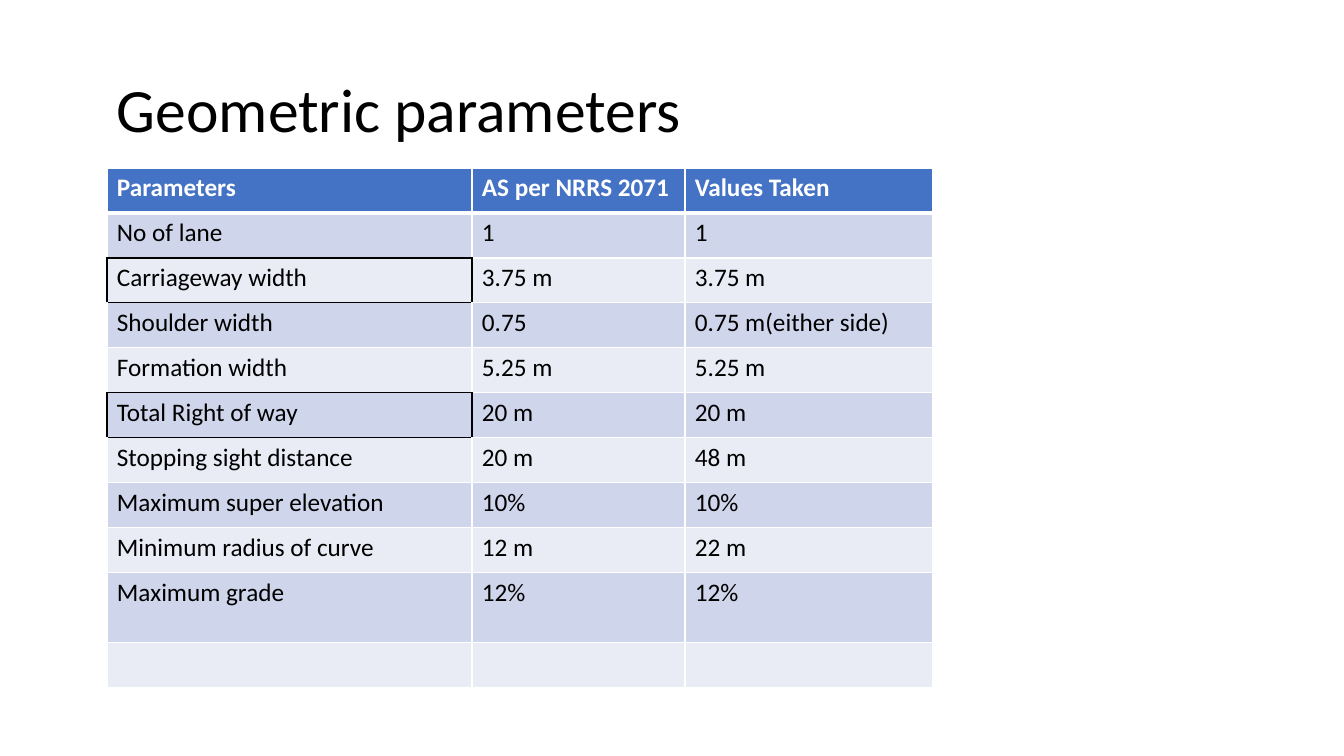
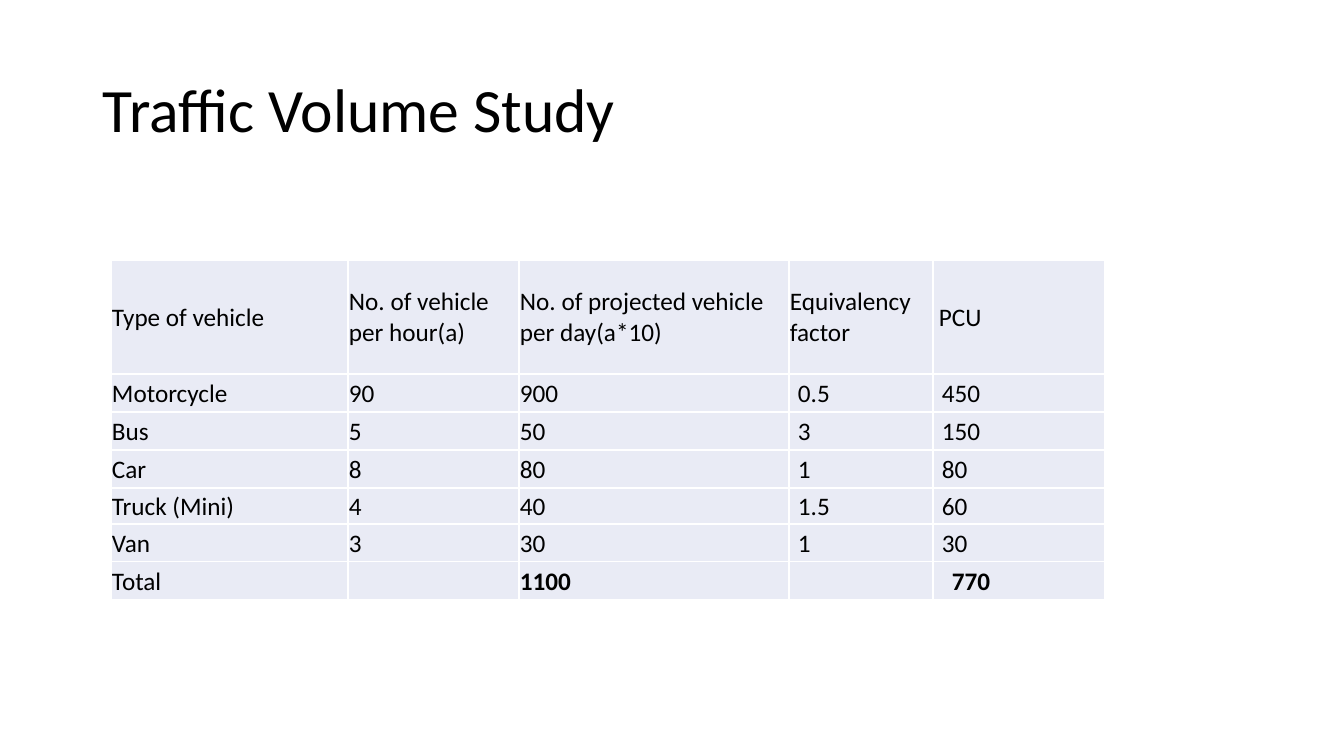
from lxml import etree
from pptx import Presentation
from pptx import util as u
from pptx.dml.color import RGBColor
from pptx.enum import text
from pptx.oxml.ns import qn

EMU_PER_PX = 914400 / 100.8
COLORS = {"ink": "000000", "paper": "FFFFFF", "header": "4472C4",
          "band": "CFD5EA", "light": "E9EBF5"}
# Neighbour offset (row, column) across each cell edge
EDGES = {"lnL": (0, -1), "lnR": (0, 1), "lnT": (-1, 0), "lnB": (1, 0)}


def px(length):
    return u.Emu(round(length * EMU_PER_PX))


def set_all(target, values):
    for name, value in values.items():
        setattr(target, name, value)


class Deck:
    """Holds the shared style and the current slide."""

    font = "Calibri"
    title_size, table_size = 44, 18
    title_box = {"left": 93, "top": 40, "width": 1159, "height": 146}

    def __init__(self):
        self.prs = Presentation()
        set_all(self.prs, {"slide_width": px(1344), "slide_height": px(756)})
        self.slide = None

    def add_slide(self, heading, inset=10):
        self.slide = self.prs.slides.add_slide(self.prs.slide_layouts[5])
        title = self.slide.shapes.title
        set_all(title, {side: px(v) for side, v in self.title_box.items()})
        set_all(title.text_frame, {
            "word_wrap": True, "auto_size": text.MSO_AUTO_SIZE.NONE,
            "vertical_anchor": text.MSO_ANCHOR.MIDDLE, "margin_left": px(inset)})
        paragraph = title.text_frame.paragraphs[0]
        set_all(paragraph, {"alignment": text.PP_ALIGN.LEFT, "line_spacing": 0.9})
        self.add_words(paragraph, heading, self.title_size)

    def add_words(self, paragraph, words, size, color="ink", bold=False):
        run = paragraph.add_run()
        run.text = words
        set_all(run.font, {"name": self.font, "size": u.Pt(size), "bold": bold})
        run.font.color.rgb = RGBColor.from_string(COLORS[color])

    def add_edge(self, cell, side, color, width):
        line = etree.SubElement(cell._tc.get_or_add_tcPr(), qn(f"a:{side}"),
                                w=str(u.Pt(width)))
        fill = etree.SubElement(line, qn("a:solidFill"))
        etree.SubElement(fill, qn("a:srgbClr"), val=COLORS[color])

    def add_table(self, left, top, widths, heights, rows, style, outlined=()):
        """style(row, column) gives fill, color, bold, anchor and margins."""
        table = self.slide.shapes.add_table(
            len(rows), len(widths), px(left), px(top),
            px(sum(widths)), px(sum(heights))).table
        set_all(table, {"first_row": False, "horz_banding": False})
        for column, width in zip(table.columns, widths):
            column.width = px(width)
        for r, (row, height) in enumerate(zip(rows, heights)):
            table.rows[r].height = px(height)
            for c, words in enumerate(row):
                cell, look = table.cell(r, c), style(r, c)
                for side, (down, across) in EDGES.items():
                    boxed = {(r, c), (r + down, c + across)} & set(outlined)
                    under_header = look["fill"] == "header" and side == "lnB"
                    self.add_edge(cell, side, "ink" if boxed else "paper",
                                  3 if under_header else 1)
                cell.fill.solid()
                cell.fill.fore_color.rgb = RGBColor.from_string(COLORS[look["fill"]])
                cell.vertical_anchor = look["anchor"]
                sides = ("margin_left", "margin_top", "margin_right", "margin_bottom")
                set_all(cell, dict(zip(sides, map(px, look["margins"]))))
                if words:
                    self.add_words(cell.text_frame.paragraphs[0], words,
                                   self.table_size, look["color"], look["bold"])


def parameter_style(row, column):
    header = row == 0
    return {"fill": "header" if header else "band" if row % 2 else "light",
            "color": "paper" if header else "ink", "bold": header,
            "anchor": text.MSO_ANCHOR.TOP, "margins": (10, 5, 10, 5)}


def traffic_style(row, column):
    total = row == len(TRAFFIC) - 1
    indent = 1
    if column == 4 and (row == 0 or total):
        indent = 19 if total else 6
    elif column >= 3 and row > 0:
        indent = 9
    return {"fill": "light", "color": "ink", "bold": total and column > 0,
            "anchor": text.MSO_ANCHOR.MIDDLE, "margins": (indent, 1, 1, 0)}


PARAMETERS = [
    ("Parameters", "AS per NRRS 2071", "Values Taken"),
    ("No of lane", "1", "1"),
    ("Carriageway width", "3.75 m", "3.75 m"),
    ("Shoulder width", "0.75", "0.75 m(either side)"),
    ("Formation width", "5.25 m", "5.25 m"),
    ("Total Right of way", "20 m", "20 m"),
    ("Stopping sight distance", "20 m", "48 m"),
    ("Maximum super elevation", "10%", "10%"),
    ("Minimum radius of curve", "12 m", "22 m"),
    ("Maximum grade", "12%", "12%"),
    ("", "", ""),
]

TRAFFIC = [
    ("Type of vehicle", "No. of vehicle per hour(a)",
     "No. of projected vehicle per day(a*10)", "Equivalency factor", "PCU"),
    ("Motorcycle", "90", "900", "0.5", "450"),
    ("Bus", "5", "50", "3", "150"),
    ("Car", "8", "80", "1", "80"),
    ("Truck (Mini)", "4", "40", "1.5", "60"),
    ("Van", "3", "30", "1", "30"),
    ("Total", "", "1100", "", "770"),
]


def main():
    deck = Deck()

    # Geometric parameters
    deck.add_slide("Geometric parameters", inset=24)
    deck.add_table(107, 168, [365, 213, 248], [45] * 9 + [70, 45],
                   PARAMETERS, parameter_style, outlined=[(2, 0), (5, 0)])

    # Traffic volume
    deck.add_slide("Traffic Volume Study")
    deck.add_table(111, 260, [237, 171, 270, 144, 172],
                   [114, 38, 38, 38, 36, 38, 38], TRAFFIC, traffic_style)

    deck.prs.save("out.pptx")


if __name__ == "__main__":
    main()
